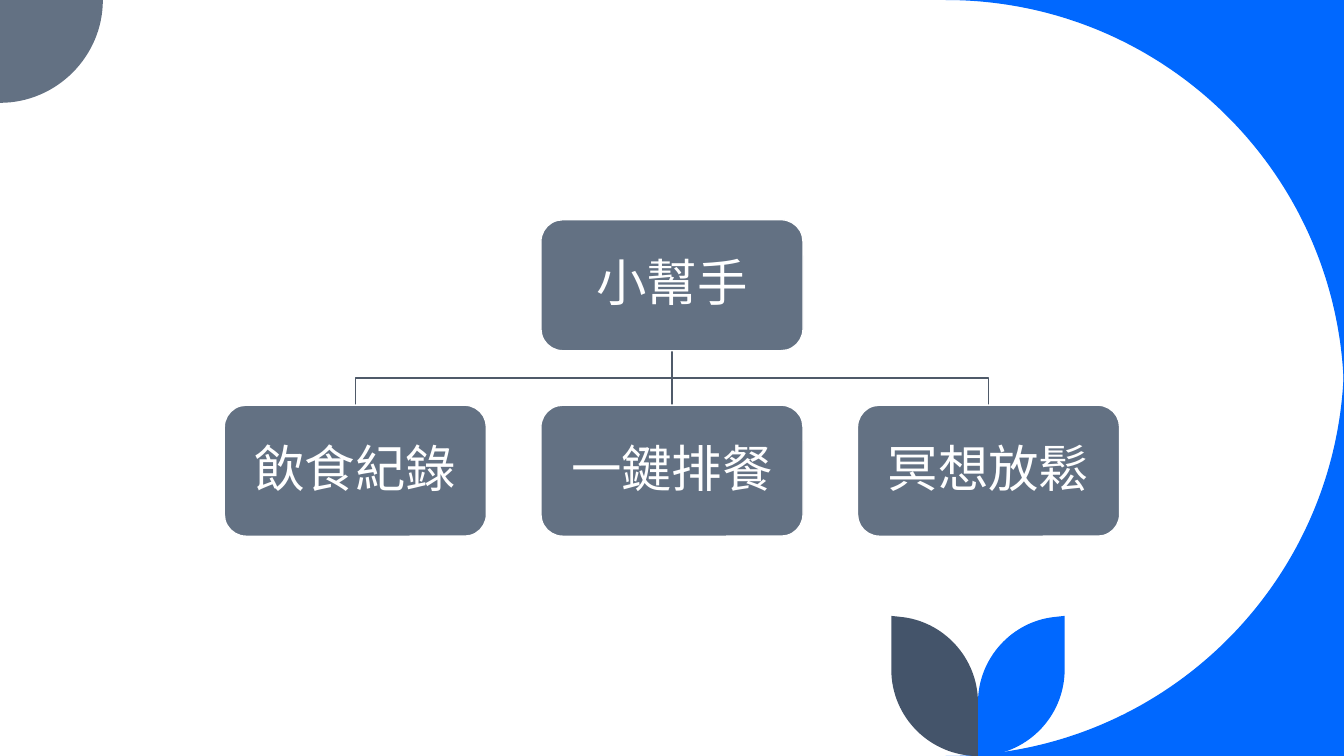
from dataclasses import dataclass

from lxml import etree
from pptx import Presentation
from pptx.dml.color import RGBColor
from pptx.enum import shapes, text
from pptx.oxml import ns
from pptx.util import Inches, Pt

Point = tuple[float, float]


@dataclass(frozen=True)
class Theme:
    blue: str = "0068FF"
    slate: str = "637183"
    navy: str = "44546A"
    branch: str = "4F5A69"
    white: str = "FFFFFF"
    font: str = "Noto Sans CJK TC"
    node_size: float = 36
    line_width: float = 1


@dataclass(frozen=True)
class Curve:
    """Cubic curve from the previous point of an outline."""
    control_1: Point
    control_2: Point
    end: Point


@dataclass(frozen=True)
class Ornament:
    outline: list[Point | Curve]
    color: str


@dataclass(frozen=True)
class Node:
    label: str
    center_x: float
    top: float


THEME = Theme()
WIDTH, HEIGHT = 13.33, 7.5
NODE_WIDTH, NODE_HEIGHT = 2.6, 1.3
CENTER, PITCH = WIDTH / 2, 3.14
ROOT_TOP, CHILD_TOP = 2.18, 4.02


def add_outline(slide, points: list[Point], close: bool):
    corners = [(Inches(x), Inches(y)) for x, y in points]
    builder = slide.shapes.build_freeform(*corners[0])
    builder.add_line_segments(corners[1:], close=close)
    shape = builder.convert_to_shape()
    shape.shadow.inherit = False
    return shape


def bend(shape, segment, curve: Curve) -> None:
    """Turn a straight outline segment into a cubic curve."""
    cubic = etree.Element(ns.qn("a:cubicBezTo"))
    for x, y in (curve.control_1, curve.control_2, curve.end):
        etree.SubElement(cubic, ns.qn("a:pt"), x=str(Inches(x) - shape.left),
                         y=str(Inches(y) - shape.top))
    segment.getparent().replace(segment, cubic)


def draw_ornament(slide, ornament: Ornament) -> None:
    points = [part.end if isinstance(part, Curve) else part for part in ornament.outline]
    shape = add_outline(slide, points, close=True)
    segments = list(shape._element.iter(ns.qn("a:lnTo")))
    for segment, part in zip(segments, ornament.outline[1:]):
        if isinstance(part, Curve):
            bend(shape, segment, part)
    shape.fill.solid()
    shape.fill.fore_color.rgb = RGBColor.from_string(ornament.color)
    shape.line.fill.background()


def draw_branch(slide, parent: Node, child: Node) -> None:
    start = (parent.center_x, parent.top + NODE_HEIGHT)
    end = (child.center_x, child.top)
    if child.center_x == parent.center_x:
        branch = slide.shapes.add_connector(
            shapes.MSO_CONNECTOR.STRAIGHT, *(Inches(v) for v in (*start, *end)))
        etree.SubElement(branch._element.spPr, ns.qn("a:effectLst"))
    else:
        middle = (start[1] + end[1]) / 2
        branch = add_outline(
            slide, [start, (start[0], middle), (end[0], middle), end], close=False)
        branch.fill.background()
    branch.line.color.rgb = RGBColor.from_string(THEME.branch)
    branch.line.width = Pt(THEME.line_width)


def draw_node(slide, node: Node) -> None:
    box = slide.shapes.add_shape(
        shapes.MSO_SHAPE.ROUNDED_RECTANGLE,
        Inches(node.center_x - NODE_WIDTH / 2), Inches(node.top),
        Inches(NODE_WIDTH), Inches(NODE_HEIGHT))
    box.shadow.inherit = False
    box.fill.solid()
    box.fill.fore_color.rgb = RGBColor.from_string(THEME.slate)
    box.line.color.rgb = RGBColor.from_string(THEME.white)
    box.line.width = Pt(THEME.line_width)

    frame = box.text_frame
    frame.word_wrap = True
    frame.vertical_anchor = text.MSO_ANCHOR.MIDDLE
    frame.margin_left = frame.margin_right = Inches(0.03)
    frame.margin_top = frame.margin_bottom = Inches(0.03)
    label = frame.paragraphs[0]
    label.text = node.label
    label.alignment = text.PP_ALIGN.CENTER
    label.line_spacing = 0.9
    label.font.size = Pt(THEME.node_size)
    label.font.color.rgb = RGBColor.from_string(THEME.white)
    label.font.name = THEME.font
    # East Asian glyphs take their own typeface element
    defaults = label._p.pPr.find(ns.qn("a:defRPr"))
    etree.SubElement(defaults, ns.qn("a:ea"), typeface=THEME.font)


def leaf(side: int, color: str) -> Ornament:
    """Leaf growing from the stem at x = 9.7; side is 1 for right, -1 for left."""
    def at(offset: float, y: float) -> Point:
        return 9.7 + side * offset, y

    return Ornament([
        at(0.86, 6.11), at(0.86, 6.64),
        Curve(at(0.86, 7.12), at(0.47, 7.5), at(0, 7.5)), at(0, 6.97),
        Curve(at(0, 6.53), at(0.34, 6.16), at(0.77, 6.12))], color)


def main() -> None:
    deck = Presentation()
    deck.slide_width, deck.slide_height = Inches(WIDTH), Inches(HEIGHT)
    slide = deck.slides.add_slide(deck.slide_layouts[6])

    # Corner shapes and leaves
    ornaments = [
        Ornament([(WIDTH, 0), (9.38, 0),
                  Curve((11.57, 0), (WIDTH, 1.77), (WIDTH, 3.95))], THEME.blue),
        Ornament([(WIDTH, 3.55),
                  Curve((WIDTH, 5.73), (11.57, HEIGHT), (9.38, HEIGHT)),
                  (WIDTH, HEIGHT)], THEME.blue),
        Ornament([(0, 0), (1.02, 0),
                  Curve((1.02, 0.56), (0.56, 1.02), (0, 1.02))], THEME.slate),
        leaf(1, THEME.blue),
        leaf(-1, THEME.navy),
    ]
    for ornament in ornaments:
        draw_ornament(slide, ornament)

    # Hierarchy: one helper with three functions
    root = Node("小幫手", CENTER, ROOT_TOP)
    children = [Node(label, CENTER + (i - 1) * PITCH, CHILD_TOP)
                for i, label in enumerate(("飲食紀錄", "一鍵排餐", "冥想放鬆"))]
    for child in reversed(children):
        draw_branch(slide, root, child)
    for node in (root, *children):
        draw_node(slide, node)

    deck.save("out.pptx")


if __name__ == "__main__":
    main()
